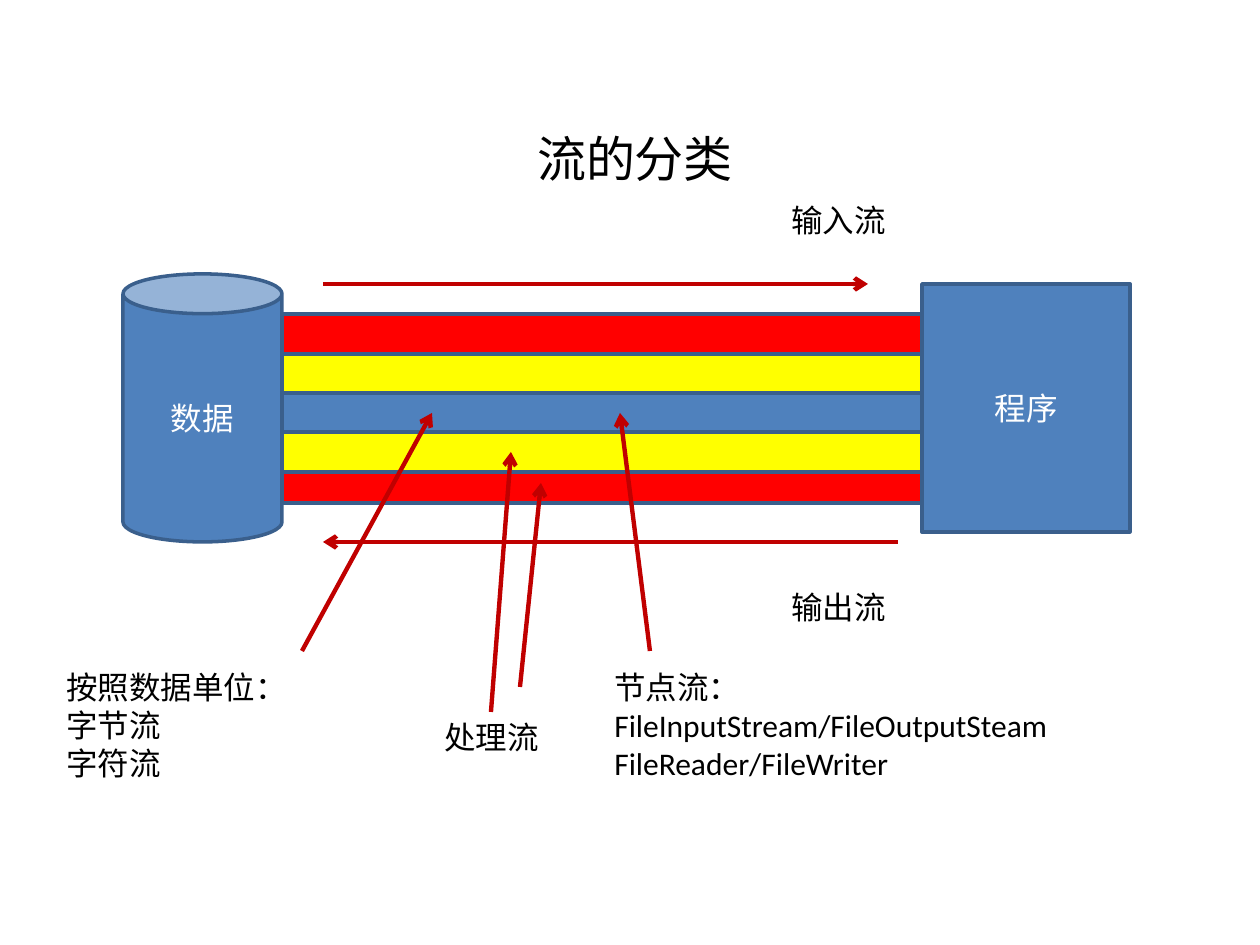
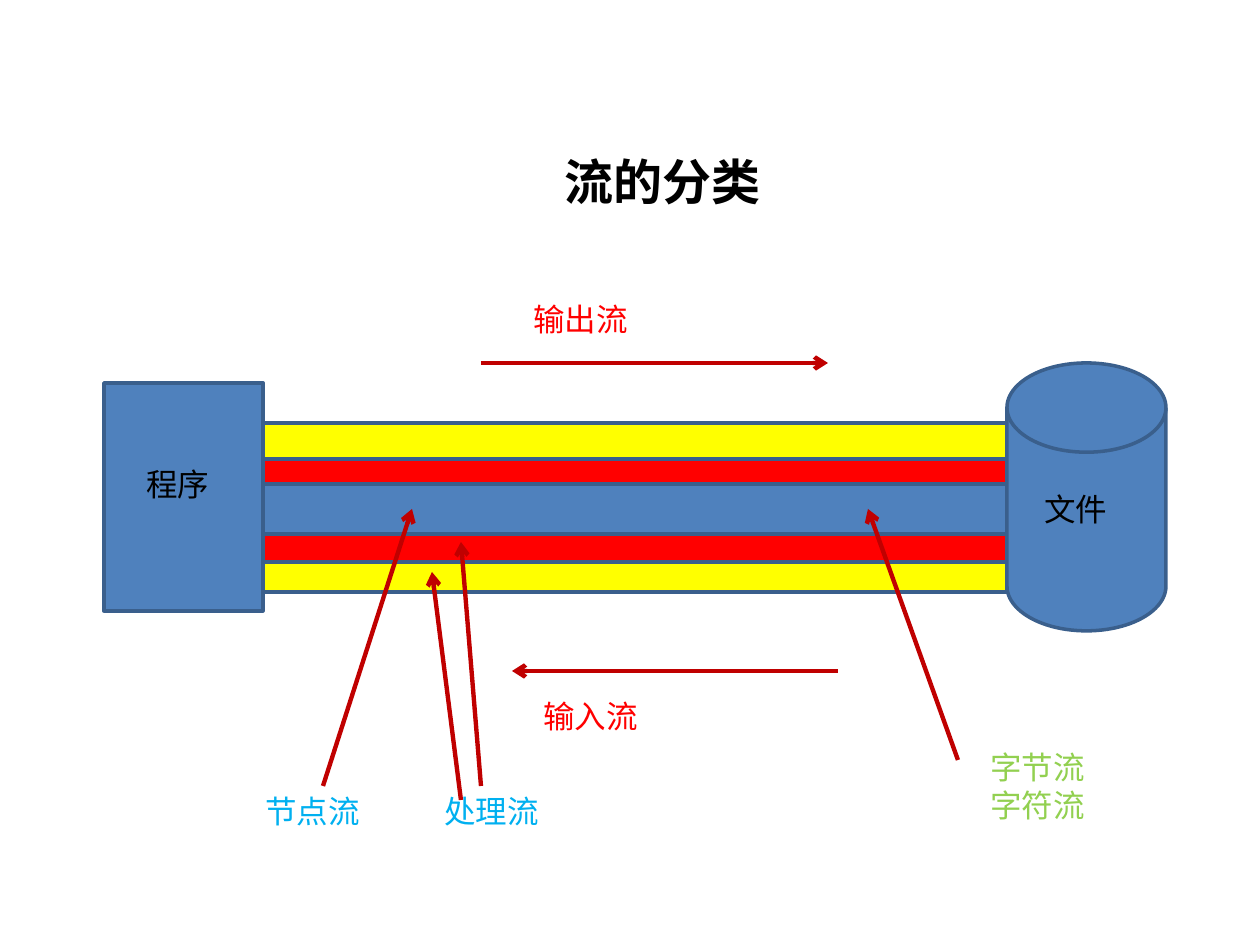
from lxml.etree import SubElement
from pptx import Presentation
from pptx.dml.color import RGBColor
from pptx.enum.shapes import MSO_CONNECTOR, MSO_SHAPE
from pptx.enum.text import MSO_ANCHOR, PP_ALIGN
from pptx.oxml.ns import qn
from pptx.util import Emu, Pt

PIXEL = 914400 // 126
COLOURS = {
    "blue": "4F81BD", "outline": "3A5F8C", "arrow": "C00000",
    "red": "FF0000", "yellow": "FFFF00", "green": "92D050",
    "cyan": "00B0F0", "black": "000000", "white": "FFFFFF",
}
LATIN, CHINESE = "Calibri", "Noto Sans CJK SC"


def px(*lengths):
    """Turn pixel lengths into EMU."""
    return [Emu(length * PIXEL) for length in lengths]


def colour(name):
    """Look up a named colour."""
    return RGBColor.from_string(COLOURS[name])


def write(frame, text, ink="black", size=18, align=PP_ALIGN.LEFT, font=LATIN, bold=False):
    """Fill a text frame and format all its runs alike."""
    frame.text = text
    frame.word_wrap = True
    for paragraph in frame.paragraphs:
        paragraph.alignment = align
        for run in paragraph.runs:
            run.font.size, run.font.bold, run.font.name = Pt(size), bold, font
            run.font.color.rgb = colour(ink)
            SubElement(run.font._element, qn("a:ea"), typeface=CHINESE)


def add_title(slide, box, **style):
    """Place and format the slide title."""
    title = slide.shapes.title
    title.left, title.top, title.width, title.height = px(*box)
    title.text_frame.vertical_anchor = MSO_ANCHOR.TOP
    write(title.text_frame, "流的分类", size=28, align=PP_ALIGN.CENTER, **style)


def add_block(slide, box, fill="blue", text="", preset=MSO_SHAPE.RECTANGLE):
    """Add an outlined shape, with a centred white caption if there is one."""
    block = slide.shapes.add_shape(preset, *px(*box))
    block.shadow.inherit = False
    block.fill.solid()
    block.fill.fore_color.rgb = colour(fill)
    block.line.color.rgb = colour("outline")
    block.line.width = Pt(2)
    if text:
        block.text_frame.vertical_anchor = MSO_ANCHOR.MIDDLE
        write(block.text_frame, text, "white", align=PP_ALIGN.CENTER)


def add_pipe(slide, left, width, layers):
    """Stack nested pipe layers, outermost first: top, height, fill."""
    for top, height, fill in layers:
        add_block(slide, (left, top, width, height), fill)


def add_label(slide, box, text, ink="black"):
    """Add a left-aligned text box."""
    label = slide.shapes.add_textbox(*px(*box))
    write(label.text_frame, text, ink)


def add_arrow(slide, *ends):
    """Draw a straight arrow given as x1, y1, x2, y2."""
    arrow = slide.shapes.add_connector(MSO_CONNECTOR.STRAIGHT, *px(*ends))
    arrow.line.color.rgb = colour("arrow")
    arrow.line.width = Pt(2.5)
    SubElement(arrow.line._get_or_add_ln(), qn("a:tailEnd"), type="arrow")
    SubElement(arrow._element.spPr, qn("a:effectLst"))


def build_data_to_program(slide):
    """Streams between a data store on the left and a program on the right."""
    add_title(slide, (412, 122, 446, 72))
    add_pipe(slide, 282, 640, [(314, 189, "red"), (354, 118, "yellow"), (393, 39, "blue")])
    add_block(slide, (922, 284, 208, 248), text="程序")
    add_block(slide, (123, 274, 159, 268), text="数据", preset=MSO_SHAPE.CAN)
    for ends in [
        (323, 284, 868, 284), (898, 542, 323, 542), (302, 651, 432, 413),
        (650, 651, 620, 413), (491, 712, 511, 452), (520, 687, 541, 483),
    ]:
        add_arrow(slide, *ends)
    for box, text in [
        ((779, 195, 179, 50), "输入流"),
        ((779, 582, 277, 50), "输出流"),
        ((54, 662, 268, 127), "按照数据单位：\n字节流\n字符流"),
        ((602, 662, 583, 127), "节点流：\nFileInputStream/FileOutputSteam\nFileReader/FileWriter"),
        ((432, 712, 203, 50), "处理流"),
    ]:
        add_label(slide, box, text)


def build_program_to_file(slide):
    """Streams between a program on the left and a file on the right."""
    add_title(slide, (412, 145, 501, 72), font=CHINESE, bold=True)
    add_pipe(slide, 263, 744, [(423, 169, "yellow"), (459, 103, "red"), (484, 50, "blue")])
    add_block(slide, (104, 383, 159, 228))
    add_block(slide, (1007, 363, 159, 268), preset=MSO_SHAPE.FLOWCHART_MAGNETIC_DISK)
    for ends in [
        (481, 363, 828, 363), (838, 671, 512, 671), (958, 760, 868, 509),
        (323, 786, 412, 509), (481, 786, 461, 542), (461, 800, 432, 572),
    ]:
        add_arrow(slide, *ends)
    for box, text, ink in [
        ((134, 459, 118, 50), "程序", "black"),
        ((1032, 484, 129, 50), "文件", "black"),
        ((521, 294, 218, 50), "输出流", "red"),
        ((531, 691, 268, 50), "输入流", "red"),
        ((978, 742, 238, 89), "字节流\n字符流", "green"),
        ((253, 786, 179, 50), "节点流", "cyan"),
        ((432, 786, 149, 50), "处理流", "cyan"),
    ]:
        add_label(slide, box, text, ink)


def main():
    """Build and save both slides."""
    deck = Presentation()
    deck.slide_width, deck.slide_height = px(1260, 945)
    title_only = deck.slide_layouts[5]
    for build in (build_data_to_program, build_program_to_file):
        build(deck.slides.add_slide(title_only))
    deck.save("out.pptx")


main()
